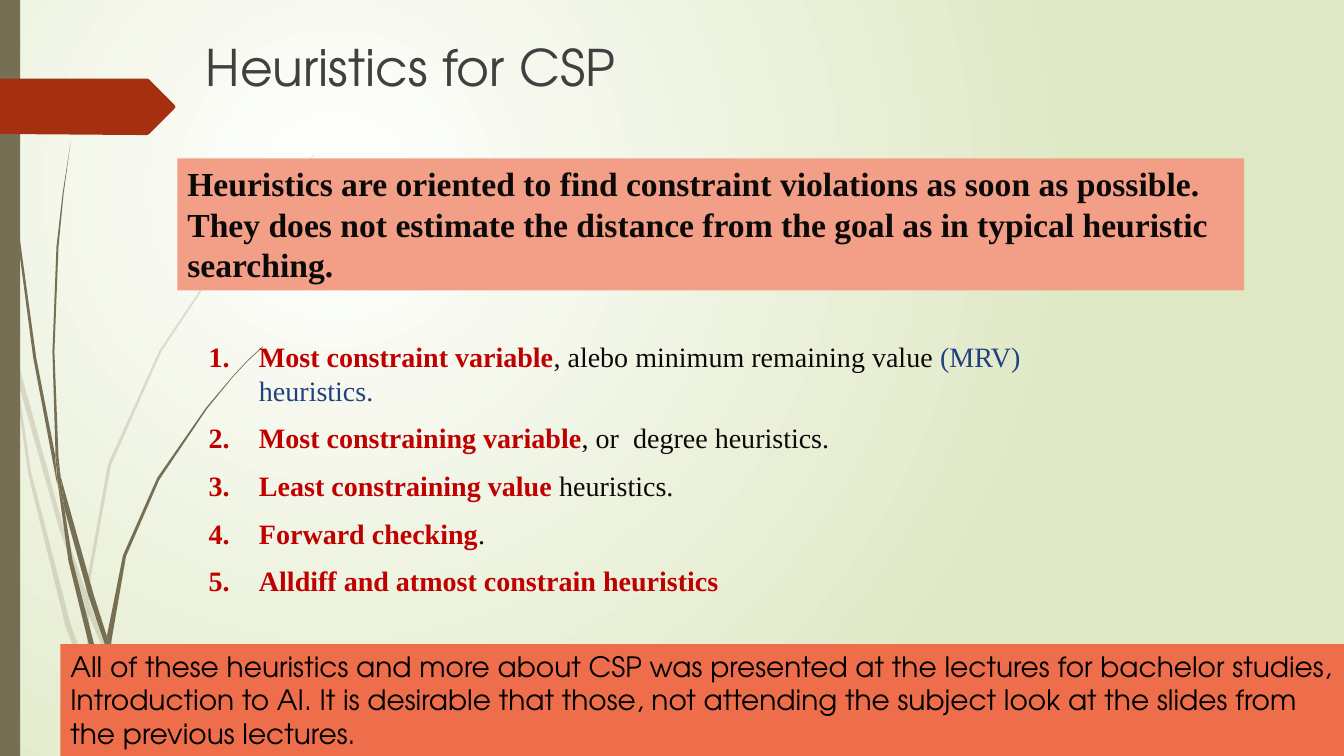
"""Builds the slide on heuristics for constraint satisfaction problems."""
from dataclasses import dataclass
from typing import Optional

from lxml.etree import SubElement
from pptx import Presentation
from pptx.dml.color import RGBColor
from pptx.dml.fill import FillFormat
from pptx.enum.shapes import MSO_SHAPE as Preset
from pptx.enum.text import MSO_ANCHOR as Anchor, PP_ALIGN as Align
from pptx.oxml.ns import qn
from pptx.shapes.base import BaseShape
from pptx.slide import Slide
from pptx.text.text import TextFrame, _Paragraph as Paragraph
from pptx.util import Pt

PX = 9144
WIDTH, HEIGHT = 1333, 750
SANS, SERIF = "TeX Gyre Adventor", "Times New Roman"
COLORS = {
    "white": "FFFFFF", "pale green": "DFE8C4", "olive": "766F54",
    "rust": "A53010", "salmon": "F39E87", "orange": "EE6E4B",
    "gray": "404040", "ink": "0B0A09", "black": "000000",
    "red": "C00000", "blue": "1F4081",
}
Points = list[tuple[int, int]]


@dataclass
class Run:
    text: str
    color: str
    size: int
    font: str = SERIF
    bold: bool = False


@dataclass
class TextBox:
    left: int
    top: int
    width: int
    height: int
    paragraphs: list[list[Run]]
    fill: Optional[str] = None
    numbered: bool = False
    inset: int = 5


@dataclass
class Outline:
    points: Points
    color: str = "olive"
    opacity: int = 100


FAINT_GRASS: list[Points] = [
    [(11, 350), (9, 322), (0, 282), (0, 299), (10, 344)],
    [(58, 522), (84, 599), (85, 586), (62, 520), (14, 345), (17, 376)],
    [(92, 607), (88, 596), (88, 610), (123, 694), (150, 750), (155, 750), (127, 692)],
    [(119, 750), (124, 750), (105, 711)],
    [(93, 683), (70, 619), (31, 469), (17, 376), (11, 350), (28, 470),
     (65, 621), (92, 693), (101, 714), (99, 707)],
    [(84, 599), (87, 646), (93, 683), (96, 692), (105, 711), (103, 706),
     (91, 646), (88, 610), (88, 608)],
    [(88, 584), (110, 462), (160, 349), (229, 245), (268, 198), (290, 175),
     (312, 154), (312, 153), (289, 175), (268, 197), (228, 244), (158, 348),
     (107, 461), (85, 584), (85, 586), (88, 596)],
    [(101, 714), (114, 750), (119, 750)],
    [(88, 608), (88, 610), (88, 596), (85, 586), (84, 599)],
    [(96, 692), (93, 683), (99, 707), (101, 714), (119, 750), (105, 711)],
]
DARK_GRASS: list[Points] = [
    [(7, 110), (17, 233), (33, 355), (56, 477), (57, 481), (55, 457), (55, 453),
     (36, 355), (19, 232), (8, 109), (5, 48), (4, 0), (3, 0), (4, 48)],
    [(88, 592), (106, 645), (106, 631), (93, 590), (60, 472), (64, 505)],
    [(113, 649), (110, 641), (111, 656), (132, 708), (152, 749), (157, 749), (136, 706)],
    [(110, 691), (98, 657), (72, 556), (64, 505), (57, 477), (68, 557),
     (93, 659), (111, 708), (117, 722), (116, 717)],
    [(60, 472), (58, 453), (54, 349), (58, 245), (63, 193), (70, 141),
     (62, 193), (56, 245), (52, 349), (55, 449)],
    [(133, 749), (136, 749), (122, 719)],
    [(57, 477), (64, 505), (60, 472), (55, 449), (55, 453)],
    [(111, 633), (125, 552), (158, 476), (205, 406), (231, 374), (245, 359),
     (261, 344), (260, 344), (245, 358), (231, 373), (204, 405), (156, 474),
     (122, 551), (106, 631), (110, 641)],
    [(117, 722), (127, 749), (131, 749)],
    [(106, 645), (109, 651), (111, 656), (110, 641), (106, 631)],
    [(116, 706), (110, 691), (116, 717), (117, 722), (130, 749), (133, 749), (122, 719)],
]
ARROW = Outline([(174, 106), (173, 108), (148, 133), (146, 134), (136, 134), (0, 133),
                 (0, 78), (136, 78), (146, 78), (148, 79), (173, 104)], "rust")
TITLE = TextBox(194, 31, 888, 84, [[Run("Heuristics for CSP", "gray", 36, SANS)]])


def term(text: str) -> Run:
    """Return a highlighted heuristic name."""
    return Run(text, "red", 20, bold=True)


def plain(text: str, color: str = "ink") -> Run:
    """Return ordinary list text."""
    return Run(text, color, 20)


TEXT_BOXES = [
    TextBox(197, 265, 892, 401, [
        [term("Most constraint variable"), plain(", alebo minimum remaining value "),
         plain("(MRV) heuristics.", "blue")],
        [term("Most constraining variable"), plain(", ", "black"),
         plain("or  degree heuristics.")],
        [term("Least constraining value "), plain("heuristics.")],
        [term("Forward checking"), plain(".")],
        [term("Alldiff and atmost constrain heuristics")],
    ], numbered=True, inset=72),
    TextBox(176, 157, 1058, 131, [[Run(
        "Heuristics are oriented to find constraint violations as soon as "
        "possible.  They does not estimate the distance from the goal as in "
        "typical heuristic searching.", "ink", 24, bold=True)]], "salmon"),
    TextBox(60, 639, 1273, 111, [[Run(
        "All of these heuristics and more about CSP was presented at the "
        "lectures for bachelor studies, Introduction to AI. It is desirable "
        "that those, not attending the subject look at the slides from the "
        "previous lectures.", "black", 20, SANS)]], "orange"),
]


def paint(fill: FillFormat, color: str) -> None:
    """Apply a solid named colour."""
    fill.solid()
    fill.fore_color.rgb = RGBColor.from_string(COLORS[color])


def finish(shape: BaseShape, color: str) -> None:
    """Fill a shape and take away its outline and shadow."""
    paint(shape.fill, color)
    shape.line.fill.background()
    shape.shadow.inherit = False


def draw_outline(page: Slide, outline: Outline) -> None:
    """Draw a closed freeform."""
    builder = page.shapes.build_freeform(*outline.points[0], scale=PX)
    builder.add_line_segments(outline.points[1:], close=True)
    shape = builder.convert_to_shape()
    finish(shape, outline.color)
    if outline.opacity < 100:
        color = shape.element.spPr.find(f"{qn('a:solidFill')}/{qn('a:srgbClr')}")
        SubElement(color, qn("a:alpha"), val=str(outline.opacity * 1000))


def number(para: Paragraph) -> None:
    """Give a paragraph an arabic number with a hanging indent."""
    properties = para._p.get_or_add_pPr()
    properties.set("marL", str(50 * PX))
    properties.set("indent", str(-50 * PX))
    SubElement(properties, qn("a:buAutoNum"), type="arabicPeriod")


def fill_box(shape: BaseShape, box: TextBox) -> None:
    """Place a text shape and write its paragraphs run by run."""
    shape.left, shape.top = box.left * PX, box.top * PX
    shape.width, shape.height = box.width * PX, box.height * PX
    if box.fill:
        paint(shape.fill, box.fill)
    frame: TextFrame = shape.text_frame
    frame.word_wrap = True
    frame.vertical_anchor = Anchor.TOP
    frame.margin_top = box.inset * PX
    for index, runs in enumerate(box.paragraphs):
        para = frame.add_paragraph() if index else frame.paragraphs[0]
        para.alignment = Align.LEFT
        para.space_before = Pt(10 if index else 0)
        if box.numbered:
            number(para)
        for item in runs:
            run = para.add_run()
            run.text = item.text
            run.font.name, run.font.size = item.font, Pt(item.size)
            run.font.bold = item.bold
            paint(run.font.fill, item.color)


def set_background(page: Slide) -> None:
    """Apply the radial background gradient."""
    fill = page.background.fill
    fill.gradient()
    for stop, name in zip(fill.gradient_stops, ("white", "pale green")):
        stop.color.rgb = RGBColor.from_string(COLORS[name])
    gradient = page.element.find(f".//{qn('a:gradFill')}")
    gradient.remove(gradient.find(qn("a:lin")))
    circle = SubElement(gradient, qn("a:path"), path="circle")
    SubElement(circle, qn("a:fillToRect"), l="50000", t="50000", r="100000", b="100000")


def main() -> None:
    """Build and save the deck."""
    deck = Presentation()
    deck.slide_width, deck.slide_height = WIDTH * PX, HEIGHT * PX
    page = deck.slides.add_slide(deck.slide_layouts[5])
    set_background(page)
    for points in FAINT_GRASS:
        draw_outline(page, Outline(points, opacity=20))
    for points in DARK_GRASS:
        draw_outline(page, Outline(points))
    finish(page.shapes.add_shape(Preset.RECTANGLE, 0, 0, 20 * PX, HEIGHT * PX), "olive")
    draw_outline(page, ARROW)
    fill_box(page.shapes.title, TITLE)
    for box in TEXT_BOXES:
        fill_box(page.shapes.add_textbox(0, 0, PX, PX), box)
    deck.save("out.pptx")


if __name__ == "__main__":
    main()
